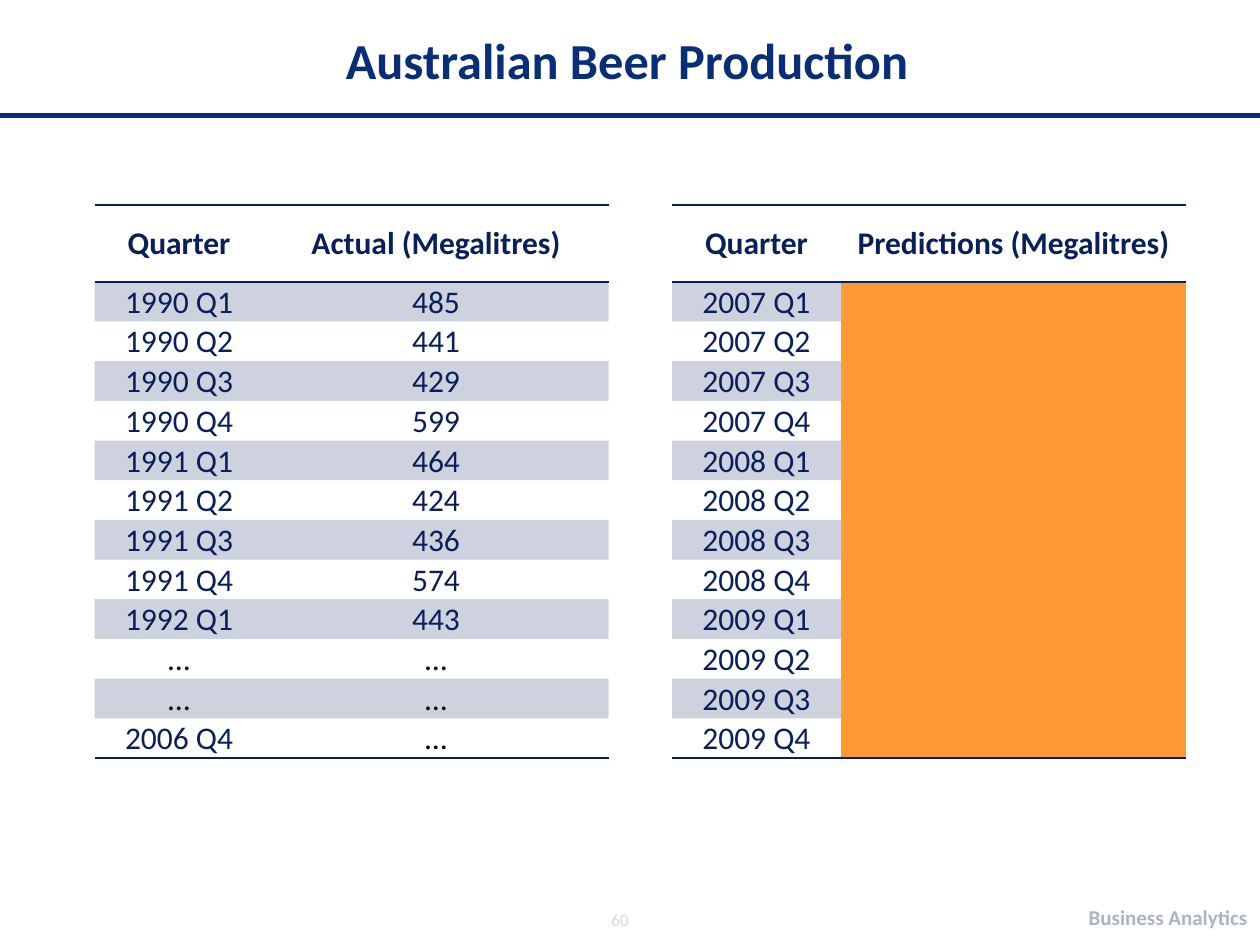
from dataclasses import dataclass

from lxml import etree
from pptx import Presentation
from pptx import util as u
from pptx.dml.color import RGBColor
from pptx.enum import shapes, text
from pptx.oxml import ns


@dataclass(frozen=True)
class Theme:
    font: str = "Calibri"
    heading: str = "092E78"
    ink: str = "081F5B"
    ellipsis: str = "000000"
    hidden: str = "FF9933"
    footer: str = "06194C"
    number: str = "D9D9D9"
    title_size: float = 28.8
    table_size: float = 18
    footer_size: float = 12
    number_size: float = 10
    band_opacity: int = 20
    footer_opacity: int = 33


def add_xml(parent, tag, **attributes):
    return etree.SubElement(parent, ns.qn(tag), attributes)


def set_opacity(fill, percent):
    """Make a solid fill see-through; python-pptx has no call for this."""
    colour = fill._xPr.find(".//" + ns.qn("a:srgbClr"))
    add_xml(colour, "a:alpha", val=str(percent * 1000))


class SlideBuilder:
    NO_STYLE = "{2D5ABB26-0587-4C30-8999-92F81FD0307C}"

    def __init__(self, slide, theme):
        self.slide = slide
        self.theme = theme

    def format_text(self, frame, size, colour, bold=False, align=None):
        for paragraph in frame.paragraphs:
            paragraph.alignment = align
            for run in paragraph.runs:
                run.font.name = self.theme.font
                run.font.size = u.Pt(size)
                run.font.bold = bold
                run.font.color.rgb = RGBColor.from_string(colour)

    def title(self, words, left, top, width, height):
        heading = self.slide.shapes.title
        heading.left, heading.top = u.Cm(left), u.Cm(top)
        heading.width, heading.height = u.Cm(width), u.Cm(height)
        frame = heading.text_frame
        frame.text = words
        frame.vertical_anchor = text.MSO_ANCHOR.MIDDLE
        self.format_text(frame, self.theme.title_size, self.theme.heading,
                         True, text.PP_ALIGN.CENTER)

    def rule(self, top, width, weight):
        line = self.slide.shapes.add_connector(
            shapes.MSO_CONNECTOR.STRAIGHT, 0, u.Cm(top), u.Cm(width), u.Cm(top))
        line.line.color.rgb = RGBColor.from_string(self.theme.heading)
        line.line.width = u.Pt(weight)
        add_xml(line._element.spPr, "a:effectLst")

    def label(self, words, left, top, width, height, size, colour,
              bold=False, align=None, anchor=text.MSO_ANCHOR.TOP):
        frame = self.slide.shapes.add_textbox(
            u.Cm(left), u.Cm(top), u.Cm(width), u.Cm(height)).text_frame
        frame.word_wrap = True
        frame.vertical_anchor = anchor
        frame.text = words
        self.format_text(frame, size, colour, bold, align)
        return frame

    def border(self, cell, side):
        line = add_xml(cell._tc.get_or_add_tcPr(), side, w=str(u.Pt(1)))
        add_xml(add_xml(line, "a:solidFill"), "a:srgbClr", val=self.theme.ink)

    def cell(self, cell, words, bold=False, fill=None, opacity=None, sides=()):
        cell.margin_left = cell.margin_right = cell.margin_top = u.Cm(0.03)
        cell.margin_bottom = 0
        cell.vertical_anchor = text.MSO_ANCHOR.MIDDLE
        for side in sides:
            self.border(cell, side)
        if fill:
            cell.fill.solid()
            cell.fill.fore_color.rgb = RGBColor.from_string(fill)
            if opacity:
                set_opacity(cell.fill, opacity)
        else:
            cell.fill.background()
        cell.text_frame.text = words
        colour = self.theme.ellipsis if words == "…" else self.theme.ink
        self.format_text(cell.text_frame, self.theme.table_size, colour, bold,
                         text.PP_ALIGN.CENTER)

    def quarter_table(self, headers, rows, left, top):
        """Draw a banded table; a value of None becomes a covered cell."""
        widths, header_height, row_height = (3.4, 6.96), 1.55, 0.8
        table = self.slide.shapes.add_table(
            len(rows) + 1, len(headers), u.Cm(left), u.Cm(top),
            u.Cm(sum(widths)), u.Cm(header_height + row_height * len(rows))).table
        table.first_row = table.horz_banding = False
        table._tbl.tblPr.find(ns.qn("a:tableStyleId")).text = self.NO_STYLE
        for column, width in zip(table.columns, widths):
            column.width = u.Cm(width)
        for row in table.rows:
            row.height = u.Cm(row_height)
        table.rows[0].height = u.Cm(header_height)

        for col, header in enumerate(headers):
            self.cell(table.cell(0, col), header, bold=True, sides=("a:lnT", "a:lnB"))
        for row, values in enumerate(rows, start=1):
            sides = ("a:lnB",) if row == len(rows) else ()
            for col, value in enumerate(values):
                fill, opacity = None, None
                if value is None:
                    fill = self.theme.hidden
                elif row % 2:
                    fill, opacity = self.theme.ink, self.theme.band_opacity
                self.cell(table.cell(row, col), value or "", fill=fill,
                          opacity=opacity, sides=sides)


def quarters(first_year, count):
    return [f"{first_year + i // 4} Q{i % 4 + 1}" for i in range(count)]


def main():
    theme = Theme()
    deck = Presentation()
    deck.slide_width, deck.slide_height = u.Cm(25.4), u.Cm(19.05)
    builder = SlideBuilder(deck.slides.add_slide(deck.slide_layouts[5]), theme)

    builder.rule(2.33, 25.4, 3)
    course = builder.label("Business Analytics", 18.62, 17.98, 6.78, 1.02,
                           theme.footer_size, theme.footer, True,
                           text.PP_ALIGN.RIGHT, text.MSO_ANCHOR.MIDDLE)
    set_opacity(course.paragraphs[0].runs[0].font.fill, theme.footer_opacity)
    builder.title("Australian Beer Production", 1.7, 0.43, 21.89, 1.52)
    page = builder.label("60", 12.07, 18.21, 5.28, 0.84,
                         theme.number_size, theme.number)
    page.paragraphs[0].space_after = u.Pt(6)

    production = ["485", "441", "429", "599", "464", "424", "436", "574", "443"]
    actual = list(zip(quarters(1990, len(production)), production))
    actual += [("…", "…"), ("…", "…"), ("2006 Q4", "…")]
    predicted = [(quarter, None) for quarter in quarters(2007, 12)]
    builder.quarter_table(("Quarter", "Actual (Megalitres)"), actual, 1.91, 4.13)
    builder.quarter_table(("Quarter", "Predictions (Megalitres)"), predicted,
                          13.55, 4.13)

    deck.save("out.pptx")


if __name__ == "__main__":
    main()
